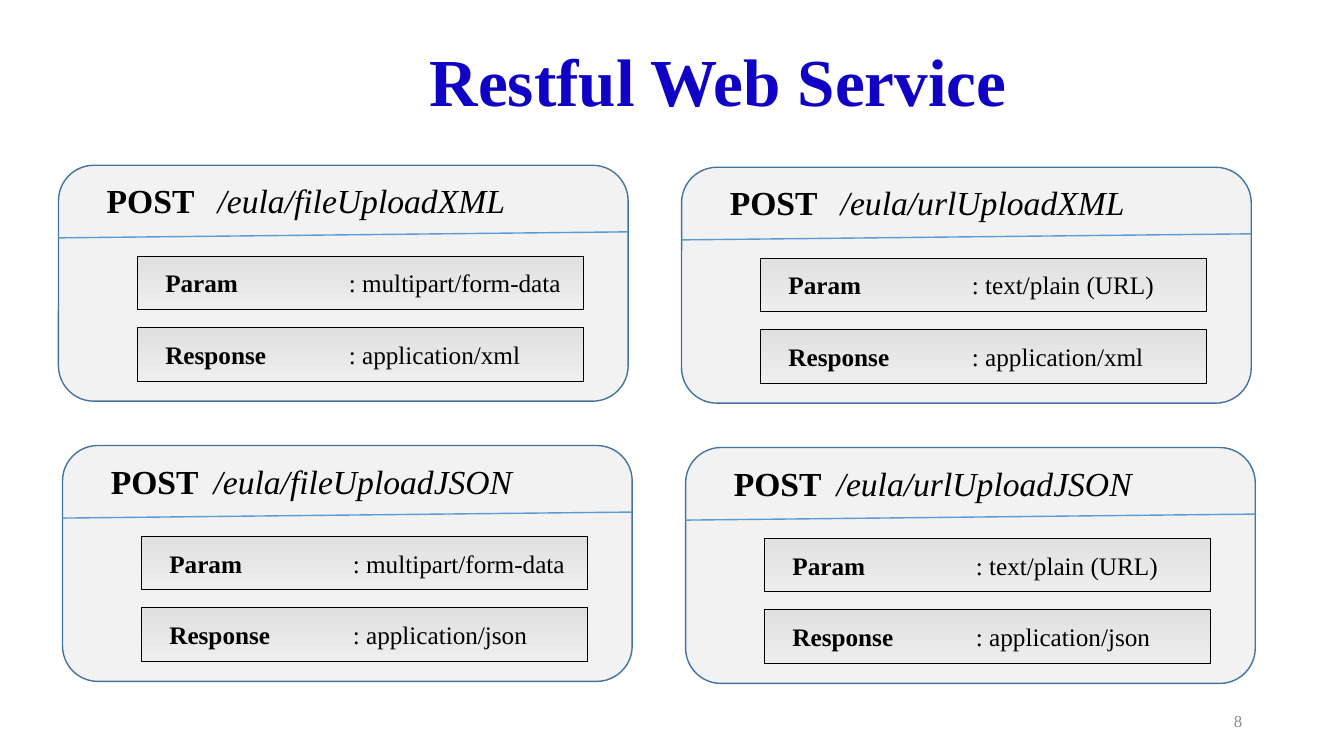
import pptx
import pptx.dml.color
import pptx.enum.shapes
import pptx.enum.text
import pptx.oxml
import pptx.oxml.ns
import pptx.util

Inches = pptx.util.Inches
Pt = pptx.util.Pt
RGBColor = pptx.dml.color.RGBColor
ALIGN = pptx.enum.text.PP_ALIGN
ANCHOR = pptx.enum.text.MSO_ANCHOR
SHAPE = pptx.enum.shapes.MSO_SHAPE

TITLE_BLUE = RGBColor(0x10, 0x02, 0xC4)
NUMBER_GRAY = RGBColor(0x8C, 0x8C, 0x8C)
CARD_GRAY = RGBColor(0xF2, 0xF2, 0xF2)
CARD_BORDER = RGBColor(0x43, 0x73, 0x9E)
DIVIDER_BLUE = RGBColor(0x5B, 0x9B, 0xD5)
BAR_TOP = RGBColor(0xE0, 0xE0, 0xE0)
BAR_BOTTOM = RGBColor(0xEE, 0xEE, 0xEE)
BLACK = RGBColor(0, 0, 0)

BOLD = {"bold": True}
ITALIC = {"italic": True}
PLAIN = {"bold": False}

FIRST_LEFT, FIRST_TOP = 0.58, 1.64
COLUMN_STEP = (6.18, 0.02)
ROW_STEP = (0.04, 2.78)
SOURCES = [("file", "multipart/form-data"), ("url", "text/plain (URL)")]
FORMATS = [("XML", "application/xml", 1.1), ("JSON", "application/json", 1.02)]


class ServiceSlide:
    """Draws the cards of a web service slide in one consistent style."""

    font_name = "Times New Roman"

    def __init__(self, presentation):
        self.slide = presentation.slides.add_slide(presentation.slide_layouts[6])
        self.shapes = self.slide.shapes

    def fill_text(self, shape, runs, size, color=BLACK, align=ALIGN.LEFT, tab=None,
                  **frame_format):
        frame = shape.text_frame
        for name, value in {"word_wrap": True, **frame_format}.items():
            setattr(frame, name, value)
        paragraph = frame.paragraphs[0]
        paragraph.alignment = align
        if tab is not None:
            tab_list = pptx.oxml.parse_xml(
                f'<a:tabLst {pptx.oxml.ns.nsdecls("a")}>'
                f'<a:tab pos="{Inches(tab)}" algn="l"/></a:tabLst>')
            paragraph._p.get_or_add_pPr().append(tab_list)
        for text, run_format in runs:
            run = paragraph.add_run()
            run.text = text
            font_format = {"name": self.font_name, "size": Pt(size), **run_format}
            for name, value in font_format.items():
                setattr(run.font, name, value)
            run.font.color.rgb = color

    def text(self, left, top, width, height, runs, size, **text_format):
        box = self.shapes.add_textbox(*map(Inches, (left, top, width, height)))
        self.fill_text(box, runs, size, **text_format)

    def box(self, kind, left, top, width, height, border, weight):
        shape = self.shapes.add_shape(kind, *map(Inches, (left, top, width, height)))
        shape.shadow.inherit = False
        shape.line.color.rgb = border
        shape.line.width = Pt(weight)
        return shape

    def panel(self, left, top):
        shape = self.box(SHAPE.ROUNDED_RECTANGLE, left, top, 5.65, 2.34, CARD_BORDER, 1)
        shape.adjustments[0] = 0.15
        shape.fill.solid()
        shape.fill.fore_color.rgb = CARD_GRAY

    def divider(self, left, top):
        line = self.shapes.add_connector(
            pptx.enum.shapes.MSO_CONNECTOR.STRAIGHT,
            *map(Inches, (left, top, left + 5.65, top - 0.06)))
        line.line.color.rgb = DIVIDER_BLUE
        line.line.width = Pt(1)
        line._element.spPr.append(
            pptx.oxml.parse_xml(f'<a:effectLst {pptx.oxml.ns.nsdecls("a")}/>'))

    def bar(self, left, top, label, value):
        shape = self.box(SHAPE.RECTANGLE, left, top, 4.43, 0.53, BLACK, 0.5)
        shape.fill.gradient()
        shape.fill.gradient_angle = 270
        for stop, color in zip(shape.fill.gradient_stops, (BAR_TOP, BAR_BOTTOM)):
            stop.color.rgb = color
        self.fill_text(shape, [(f"{label}\t", BOLD), (f": {value}", PLAIN)], 18, tab=1.82,
                       margin_left=Inches(0.28), vertical_anchor=ANCHOR.MIDDLE)

    def card(self, left, top, address, tab, details):
        self.shapes = self.slide.shapes.add_group_shape().shapes
        self.panel(left, top)
        self.text(left + 0.38, top + 0.1, 4.22, 0.5,
                  [("POST\t", BOLD), (address, ITALIC)], 24, tab=tab)
        self.divider(left, top + 0.72)
        for index, (label, value) in enumerate(details):
            self.bar(left + 0.78, top + 0.9 + 0.71 * index, label, value)
        self.shapes = self.slide.shapes


def main():
    presentation = pptx.Presentation()
    presentation.slide_width = Inches(13.33)
    presentation.slide_height = Inches(7.5)
    service = ServiceSlide(presentation)
    service.text(9.42, 6.95, 3, 0.4, [("8", PLAIN)], 12, color=NUMBER_GRAY,
                 align=ALIGN.RIGHT, vertical_anchor=ANCHOR.MIDDLE)
    service.text(3.56, 0.34, 7.13, 0.91, [("Restful Web Service", BOLD)], 48,
                 color=TITLE_BLUE, align=ALIGN.CENTER)
    for column, (source, parameter) in enumerate(SOURCES):
        for row, (suffix, response, tab) in enumerate(FORMATS):
            left = FIRST_LEFT + column * COLUMN_STEP[0] + row * ROW_STEP[0]
            top = FIRST_TOP + column * COLUMN_STEP[1] + row * ROW_STEP[1]
            service.card(left, top, f"/eula/{source}Upload{suffix}", tab,
                         [("Param", parameter), ("Response", response)])
    presentation.save("out.pptx")


if __name__ == "__main__":
    main()
